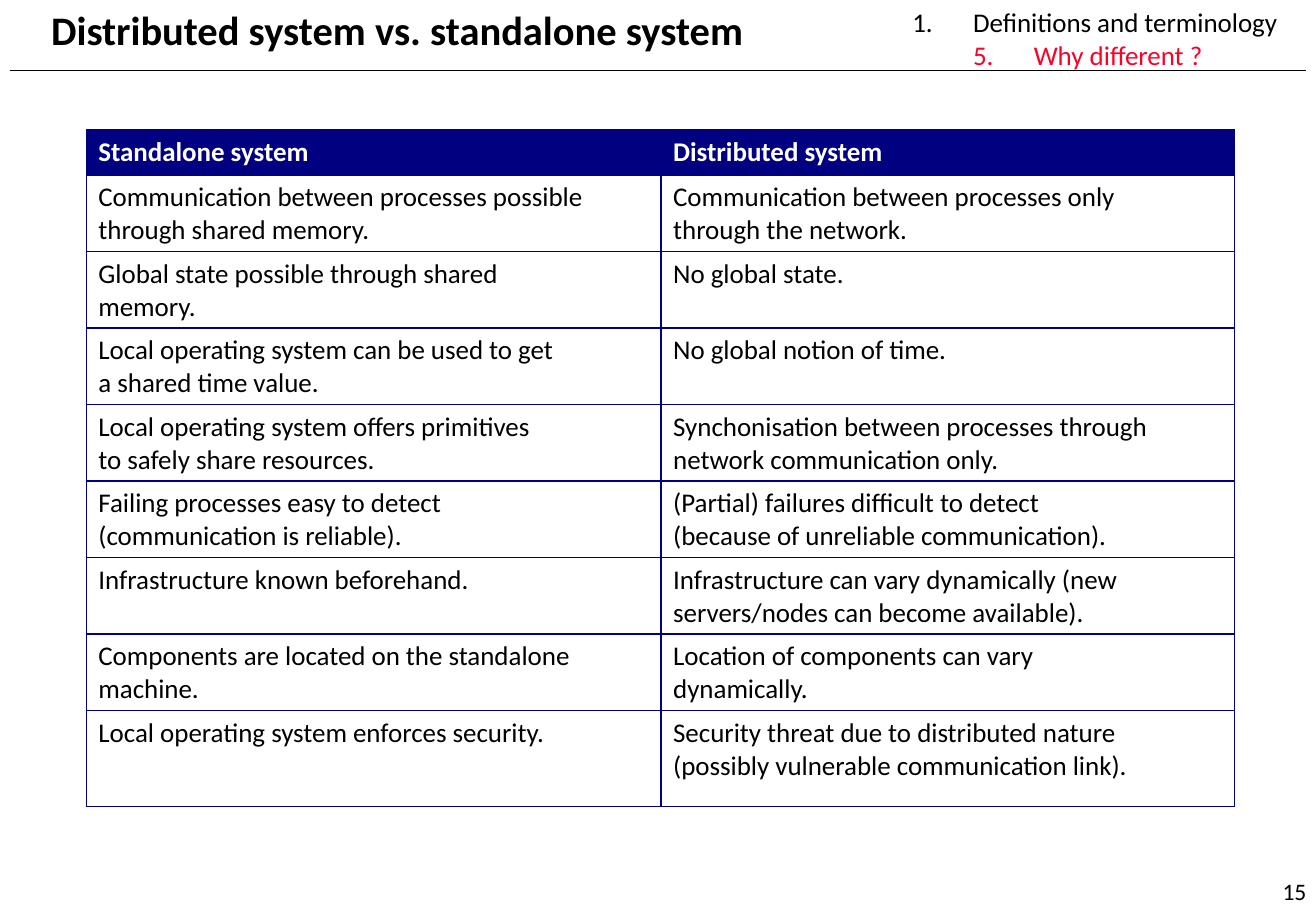
from lxml.etree import SubElement
from pptx import Presentation
from pptx.dml.color import RGBColor
from pptx.enum.shapes import MSO_CONNECTOR
from pptx.enum.text import MSO_ANCHOR, MSO_AUTO_SIZE, PP_ALIGN
from pptx.oxml.ns import qn
from pptx.util import Inches, Pt

COLORS = {"text": "000000", "accent": "FC0128", "navy": "000080", "white": "FFFFFF"}
FONT = "Calibri"
TITLE = "Distributed system vs. standalone system"
OUTLINE = [("Definitions and terminology", "text"), ("5.\tWhy different ?", "accent")]
PAGE = "15"
HEADER = (["Standalone system"], ["Distributed system"])
ROWS = [
    (["Communication between processes possible", "through shared memory."],
     ["Communication between processes only", "through the network."]),
    (["Global state possible through shared", "memory."],
     ["No global state."]),
    (["Local operating system can be used to get", "a shared time value."],
     ["No global notion of time."]),
    (["Local operating system offers primitives", "to safely share resources."],
     ["Synchonisation between processes through", "network communication only."]),
    (["Failing processes easy to detect", "(communication is reliable)."],
     ["(Partial) failures difficult to detect", "(because of unreliable communication)."]),
    (["Infrastructure known beforehand."],
     ["Infrastructure can vary dynamically (new", "servers/nodes can become available)."]),
    (["Components are located on the standalone", "machine."],
     ["Location of components can vary", "dynamically."]),
    (["Local operating system enforces security."],
     ["Security threat due to distributed nature", "(possibly vulnerable communication link)."]),
]
COL_WIDTHS = (4.73, 4.72)
ROW_HEIGHTS = [0.37] + [0.63] * (len(ROWS) - 1) + [0.79]


def rgb(name):
    return RGBColor.from_string(COLORS[name])


def add_run(p, text, size, color="text", bold=False):
    r = p.add_run()
    r.text = text
    r.font.name = FONT
    r.font.size = Pt(size)
    r.font.bold = bold
    r.font.color.rgb = rgb(color)


def paragraphs(tf, count):
    return [tf.paragraphs[0]] + [tf.add_paragraph() for _ in range(count - 1)]


def add_borders(cell):
    tcPr = cell._tc.get_or_add_tcPr()
    for i, side in enumerate(("lnL", "lnR", "lnT", "lnB")):
        ln = tcPr.makeelement(qn(f"a:{side}"), {"w": str(Pt(1))})
        fill = SubElement(ln, qn("a:solidFill"))
        SubElement(fill, qn("a:srgbClr"), val=COLORS["navy"])
        tcPr.insert(i, ln)


def fill_cell(cell, lines, header):
    cell.margin_bottom = Inches(0.04)
    if header:
        cell.fill.solid()
        cell.fill.fore_color.rgb = rgb("navy")
    else:
        cell.fill.background()
    for p, line in zip(paragraphs(cell.text_frame, len(lines)), lines):
        add_run(p, line, 16, "white" if header else "text", header)
    add_borders(cell)


def add_title(s):
    title = s.shapes.title
    title.left, title.top = Inches(0.32), Inches(-0.01)
    title.width, title.height = Inches(5.96), Inches(0.5)
    tf = title.text_frame
    tf.word_wrap = False
    tf.auto_size = MSO_AUTO_SIZE.SHAPE_TO_FIT_TEXT
    tf.vertical_anchor = MSO_ANCHOR.TOP
    p = tf.paragraphs[0]
    p.alignment = PP_ALIGN.LEFT
    p.line_spacing = 1.0
    add_run(p, TITLE, 24, bold=True)


def add_outline(s):
    tf = s.shapes.add_textbox(Inches(7.41), Inches(0), Inches(3.24), Inches(0.64)).text_frame
    tf.word_wrap = False
    tf.auto_size = MSO_AUTO_SIZE.SHAPE_TO_FIT_TEXT
    for level, (p, (text, color)) in enumerate(zip(paragraphs(tf, len(OUTLINE)), OUTLINE)):
        p.level = level
        pPr = p._p.get_or_add_pPr()
        pPr.set("marL", str(Inches(0.5 * (level + 1))))
        pPr.set("indent", str(Inches(-0.5)))
        if level == 0:
            SubElement(pPr, qn("a:buFont"), typeface=FONT)
            SubElement(pPr, qn("a:buAutoNum"), type="arabicPeriod")
        add_run(p, text, 16, color)


def add_page_number(s):
    tf = s.shapes.add_textbox(Inches(8.77), Inches(7), Inches(2.08), Inches(0.5)).text_frame
    tf.word_wrap = True
    tf.vertical_anchor = MSO_ANCHOR.BOTTOM
    p = tf.paragraphs[0]
    p.alignment = PP_ALIGN.RIGHT
    add_run(p, PAGE, 14)


def add_rule(s):
    rule = s.shapes.add_connector(
        MSO_CONNECTOR.STRAIGHT, Inches(0.08), Inches(0.58), Inches(10.75), Inches(0.58))
    rule.line.color.rgb = rgb("text")
    rule.line.width = Pt(1)
    SubElement(rule._element.spPr, qn("a:effectLst"))


def add_comparison(s):
    rows = [HEADER] + ROWS
    table = s.shapes.add_table(
        len(rows), len(COL_WIDTHS), Inches(0.71), Inches(1.07),
        Inches(sum(COL_WIDTHS)), Inches(sum(ROW_HEIGHTS))).table
    table.horz_banding = False
    for col, width in zip(table.columns, COL_WIDTHS):
        col.width = Inches(width)
    for i, (row, height) in enumerate(zip(rows, ROW_HEIGHTS)):
        table.rows[i].height = Inches(height)
        for j, lines in enumerate(row):
            fill_cell(table.cell(i, j), lines, i == 0)


def main():
    prs = Presentation()
    prs.slide_width, prs.slide_height = Inches(10.83), Inches(7.5)
    s = prs.slides.add_slide(prs.slide_layouts[5])
    add_rule(s)
    add_page_number(s)
    add_outline(s)
    add_title(s)
    add_comparison(s)
    prs.save("out.pptx")


if __name__ == "__main__":
    main()
